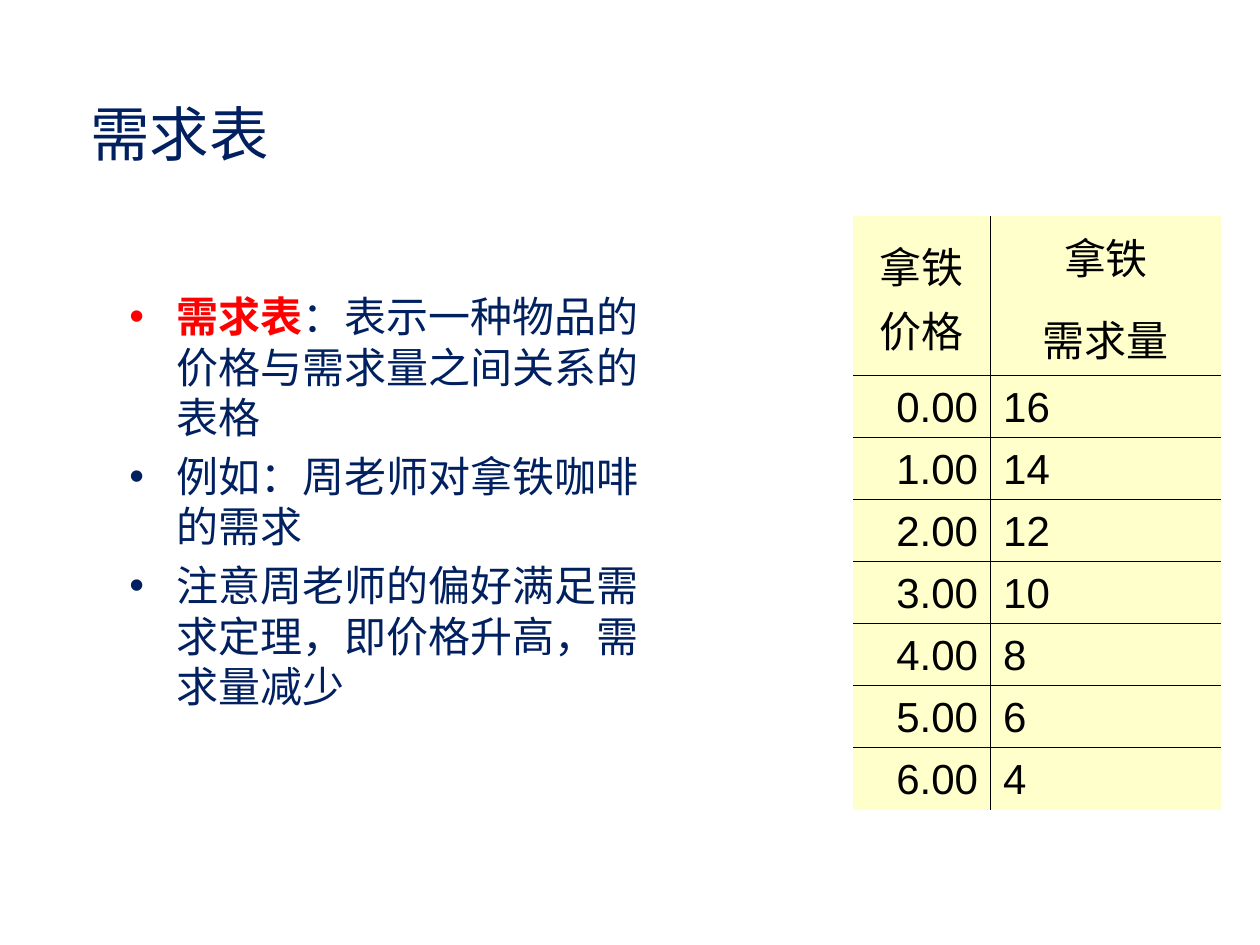
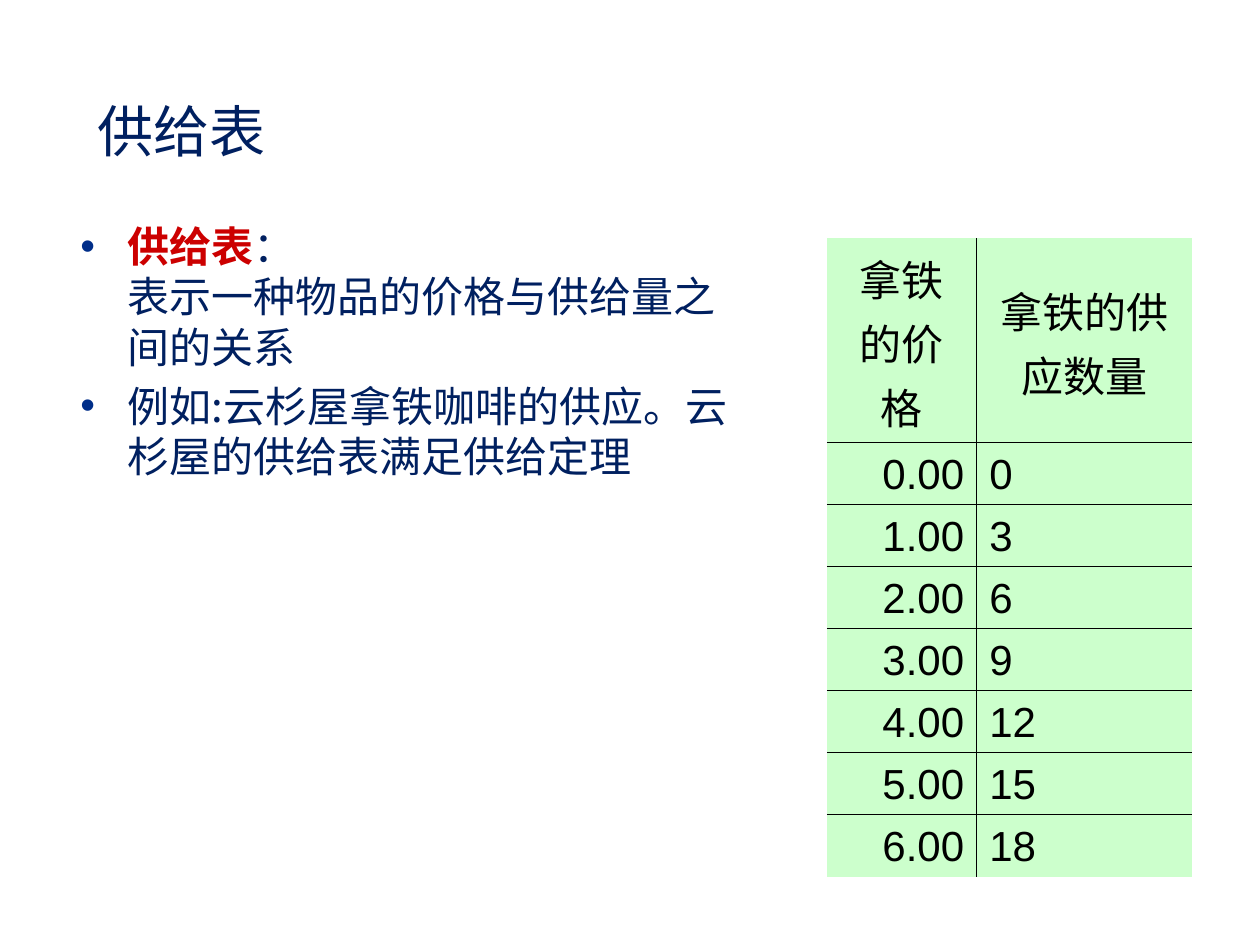
from lxml import etree
from pptx import Presentation
from pptx.dml.color import RGBColor
from pptx.enum.text import MSO_ANCHOR, MSO_AUTO_SIZE, PP_ALIGN
from pptx.oxml.ns import qn
from pptx.util import Cm, Pt

LEFT, CENTER, RIGHT = PP_ALIGN.LEFT, PP_ALIGN.CENTER, PP_ALIGN.RIGHT
MIDDLE = MSO_ANCHOR.MIDDLE
NO_AUTOFIT = MSO_AUTO_SIZE.NONE

NAVY = RGBColor(0x00, 0x20, 0x60)
BLUE = RGBColor(0x00, 0x2E, 0x89)
RED = RGBColor(0xFF, 0x00, 0x00)
DARK_RED = RGBColor(0xCC, 0x00, 0x00)
BLACK = RGBColor(0x00, 0x00, 0x00)
CREAM = RGBColor(0xFF, 0xFF, 0xCC)
MINT = RGBColor(0xCC, 0xFF, 0xCC)

CJK_FONT = "Noto Sans CJK SC"
LATIN_FONT = "Arial"
TEXT_SIZE = 24
TITLE_ONLY = 5
PRICES = [f"{price}.00" for price in range(7)]


class Deck:
    def __init__(self):
        self.prs = Presentation()
        self.prs.slide_width, self.prs.slide_height = Cm(25.4), Cm(19.05)
        self.slide = None

    def set_font(self, paragraph, size, color=None, latin=CJK_FONT):
        font = paragraph.font
        font.size = Pt(size)
        font.name = latin
        if color is not None:
            font.color.rgb = color
        properties = paragraph._p.get_or_add_pPr().find(qn("a:defRPr"))
        east_asian = etree.SubElement(properties, qn("a:ea"))
        east_asian.set("typeface", CJK_FONT)

    def add_slide(self, title, box, size):
        layout = self.prs.slide_layouts[TITLE_ONLY]
        self.slide = self.prs.slides.add_slide(layout)
        heading = self.slide.shapes.title
        heading.left, heading.top, heading.width, heading.height = map(Cm, box)
        frame = heading.text_frame
        frame.text = title
        frame.auto_size = NO_AUTOFIT
        frame.vertical_anchor = MIDDLE
        frame.paragraphs[0].alignment = LEFT
        self.set_font(frame.paragraphs[0], size, NAVY)

    def add_bullet(self, paragraph, color):
        properties = paragraph._p.get_or_add_pPr()
        properties.set("marL", str(Cm(0.95)))
        properties.set("indent", str(-Cm(0.95)))
        bullet_color = etree.SubElement(properties, qn("a:buClr"))
        etree.SubElement(bullet_color, qn("a:srgbClr")).set("val", str(color))
        etree.SubElement(properties, qn("a:buFont")).set("typeface", LATIN_FONT)
        etree.SubElement(properties, qn("a:buChar")).set("char", "•")

    def add_points(self, box, term, term_color, bullet_colors, points):
        frame = self.slide.shapes.add_textbox(*map(Cm, box)).text_frame
        frame.word_wrap = True
        for index, (point, bullet_color) in enumerate(zip(points, bullet_colors)):
            first = index == 0
            paragraph = frame.paragraphs[0] if first else frame.add_paragraph()
            self.add_bullet(paragraph, bullet_color)
            if first:
                lead = paragraph.add_run()
                lead.text = term
                lead.font.bold = True
                lead.font.color.rgb = term_color
                for part_index, part in enumerate(point.split("\n")):
                    if part_index:
                        paragraph.add_line_break()
                    explanation = paragraph.add_run()
                    explanation.text = part
                    explanation.font.color.rgb = NAVY
                self.set_font(paragraph, TEXT_SIZE)
            else:
                paragraph.space_before = Pt(4.8)
                paragraph.add_run().text = point
                self.set_font(paragraph, TEXT_SIZE, NAVY)

    def set_borders(self, cell, visible):
        properties = cell._tc.get_or_add_tcPr()
        for index, (side, shown) in enumerate(zip("LRTB", visible)):
            line = etree.Element(qn(f"a:ln{side}"))
            line.set("w", str(Pt(1)))
            if shown:
                fill = etree.SubElement(line, qn("a:solidFill"))
                etree.SubElement(fill, qn("a:srgbClr")).set("val", str(BLACK))
            else:
                etree.SubElement(line, qn("a:noFill"))
            properties.insert(index, line)

    def add_schedule(self, corner, widths, header_height, fill, headers, quantities):
        rows = [headers, *zip(PRICES, map(str, quantities))]
        heights = [header_height] + [1.25] * len(quantities)
        left, top = map(Cm, corner)
        table = self.slide.shapes.add_table(
            len(rows), len(widths), left, top, Cm(sum(widths)), Cm(sum(heights))
        ).table
        table.first_row = table.horz_banding = False
        for column, width in zip(table.columns, widths):
            column.width = Cm(width)
        for row, height in zip(table.rows, heights):
            row.height = Cm(height)
        last_row, last_column = len(rows) - 1, len(widths) - 1
        for r, values in enumerate(rows):
            for c, value in enumerate(values):
                cell = table.cell(r, c)
                cell.text = value
                cell.vertical_anchor = MIDDLE
                cell.margin_top = cell.margin_bottom = Cm(0.09)
                cell.fill.solid()
                cell.fill.fore_color.rgb = fill
                self.set_borders(cell, (c > 0, c < last_column, r > 0, r < last_row))
                for index, paragraph in enumerate(cell.text_frame.paragraphs):
                    paragraph.alignment = CENTER if r == 0 else (RIGHT, LEFT)[c]
                    paragraph.line_spacing = 1.05
                    if index:
                        paragraph.space_before = Pt(10.8)
                    self.set_font(paragraph, TEXT_SIZE, BLACK, LATIN_FONT)


def main():
    deck = Deck()

    deck.add_slide("需求表", (1.57, 1.63, 5.23, 2.11), 34)
    deck.add_points(
        (2.36, 5.74, 11.35, 8.97), "需求表", RED, (RED, NAVY, NAVY),
        ["：表示一种物品的价格与需求量之间关系的表格",
         "例如：周老师对拿铁咖啡的需求",
         "注意周老师的偏好满足需求定理，即价格升高，需求量减少"])
    deck.add_schedule(
        (17.2, 4.35), (2.77, 4.65), 3.22, CREAM,
        ("拿铁价格", "拿铁\n需求量"), range(16, 3, -2))

    deck.add_slide("供给表", (1.71, 1.78, 8.2, 1.7), 32)
    deck.add_points(
        (1.37, 4.32, 13.92, 8.38), "供给表", DARK_RED, (BLUE, BLUE),
        ["：\n表示一种物品的价格与供给量之间的关系",
         "例如:云杉屋拿铁咖啡的供应。云杉屋的供给表满足供给定理"])
    deck.add_schedule(
        (16.67, 4.8), (3.02, 4.34), 4.12, MINT,
        ("拿铁的价格", "拿铁的供应数量"), range(0, 19, 3))

    deck.prs.save("out.pptx")


if __name__ == "__main__":
    main()
